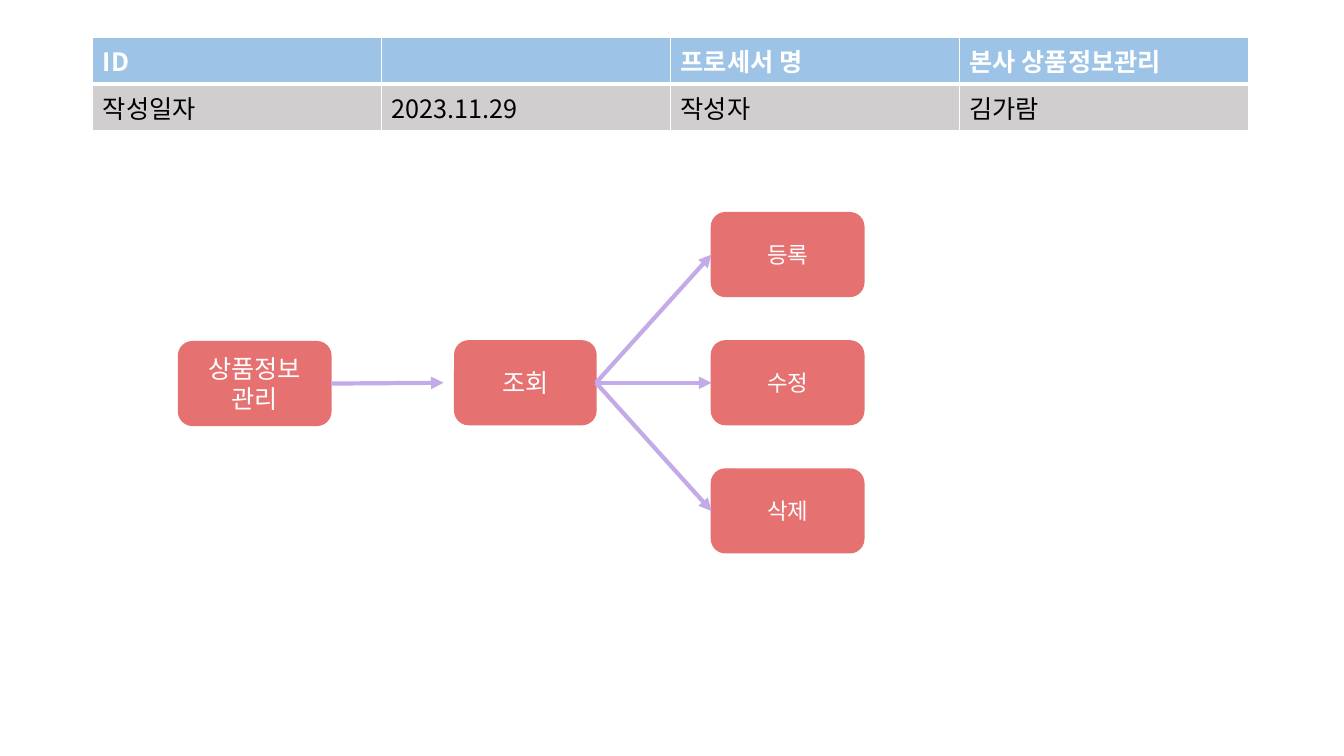
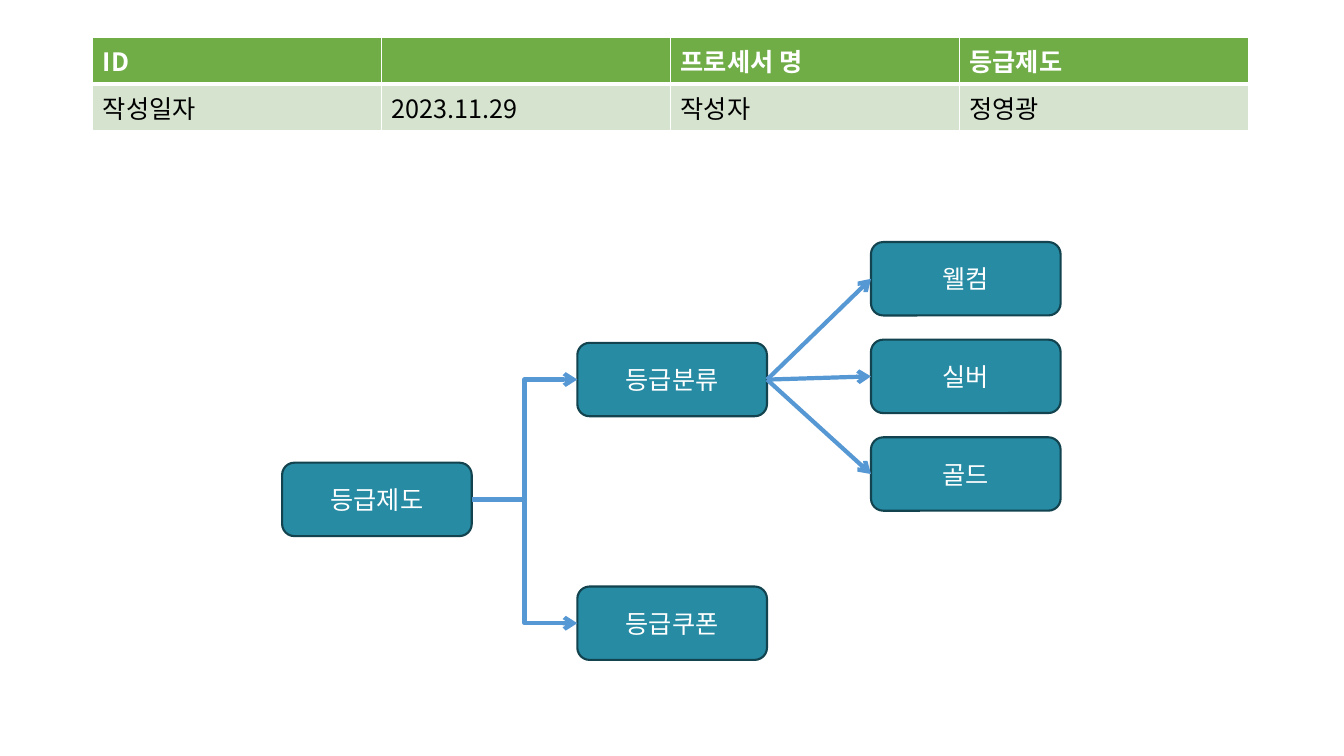
from dataclasses import dataclass

from lxml.etree import SubElement
from pptx import Presentation
from pptx.dml.color import RGBColor
from pptx.enum.shapes import MSO_CONNECTOR, MSO_SHAPE
from pptx.enum.text import MSO_ANCHOR, PP_ALIGN
from pptx.oxml.ns import qn
from pptx.util import Cm, Pt


@dataclass(frozen=True)
class Theme:
    header: str
    body: str
    box: str
    outline: str
    outline_width: float
    arrow: str
    arrowhead: str
    white: str = "FFFFFF"
    black: str = "000000"
    font: str = "Noto Sans CJK KR"
    text_size: int = 18
    small_size: int = 16
    arrow_width: int = 3
    border_width: int = 1
    header_rule: int = 3


PRODUCT = Theme("9DC3E6", "D0CECE", "E57171", "E57171", 1, "C3AAE8", "triangle")
GRADE = Theme("70AD47", "D5E3CF", "268BA3", "12434E", 1.5, "5698D3", "arrow")

STRAIGHT, ELBOW = MSO_CONNECTOR.STRAIGHT, MSO_CONNECTOR.ELBOW
LEFT_SITE, RIGHT_SITE = 1, 3

product_boxes = [
    ("상품정보\n관리", 4.5, 8.61, 3.84, 2.11, PRODUCT.text_size),
    ("조회", 11.46, 8.59, 3.56, 2.11, PRODUCT.text_size),
]
for index, action in enumerate(["등록", "수정", "삭제"]):
    product_boxes.append((action, 17.93, 5.36 + 3.23 * index, 3.84, 2.11, PRODUCT.small_size))

grade_boxes = [
    ("등급제도", 7.11, 11.66, 4.78, 1.85, GRADE.text_size),
    ("등급분류", 14.55, 8.64, 4.78, 1.85, GRADE.text_size),
    ("등급쿠폰", 14.55, 14.78, 4.78, 1.85, GRADE.text_size),
]
for index, grade in enumerate(["웰컴", "실버", "골드"]):
    grade_boxes.append((grade, 21.95, 6.1 + 2.46 * index, 4.78, 1.85, GRADE.text_size))

processes = [
    (PRODUCT, "본사 상품정보관리", "김가람", product_boxes, [
        ("상품정보\n관리", "조회", STRAIGHT, 0.28),
        ("조회", "등록", STRAIGHT, 0),
        ("조회", "수정", STRAIGHT, 0),
        ("조회", "삭제", STRAIGHT, 0),
    ]),
    (GRADE, "등급제도", "정영광", grade_boxes, [
        ("등급제도", "등급분류", ELBOW, 0),
        ("등급제도", "등급쿠폰", ELBOW, 0),
        ("등급분류", "웰컴", STRAIGHT, 0),
        ("등급분류", "실버", STRAIGHT, 0),
        ("등급분류", "골드", STRAIGHT, 0),
    ]),
]


def add_text(paragraph, text, theme, size, color, bold=False):
    run = paragraph.add_run()
    run.text = text
    run.font.name = theme.font
    run.font.size = Pt(size)
    run.font.bold = bold
    run.font.color.rgb = RGBColor.from_string(color)
    SubElement(run.font._element, qn("a:ea"), typeface=theme.font)


def add_border(cell, side, width, color):
    border = SubElement(cell._tc.get_or_add_tcPr(), qn(f"a:ln{side}"), w=str(Pt(width)))
    SubElement(SubElement(border, qn("a:solidFill")), qn("a:srgbClr"), val=color)


presentation = Presentation()
presentation.slide_width = Cm(33.87)
presentation.slide_height = Cm(19.05)

for theme, process_name, author, boxes, arrows in processes:
    slide = presentation.slides.add_slide(presentation.slide_layouts[6])

    summary_rows = [
        (["ID", "", "프로세서 명", process_name], 1.09, theme.header, theme.white, True),
        (["작성일자", "2023.11.29", "작성자", author], 1.04, theme.body, theme.black, False),
    ]
    summary = slide.shapes.add_table(2, 4, Cm(2.34), Cm(0.95), Cm(29.12), Cm(2.13)).table
    for column in summary.columns:
        column.width = Cm(7.28)
    for row, (entries, height, fill, color, is_header) in zip(summary.rows, summary_rows):
        row.height = Cm(height)
        top = theme.border_width if is_header else theme.header_rule
        bottom = theme.header_rule if is_header else theme.border_width
        sides = {"L": theme.border_width, "R": theme.border_width, "T": top, "B": bottom}
        for cell, entry in zip(row.cells, entries):
            for side, width in sides.items():
                add_border(cell, side, width, theme.white)
            cell.fill.solid()
            cell.fill.fore_color.rgb = RGBColor.from_string(fill)
            if entry:
                add_text(cell.text_frame.paragraphs[0], entry, theme,
                         theme.text_size, color, is_header)

    steps = {}
    for label, left, top, width, height, size in boxes:
        step = slide.shapes.add_shape(MSO_SHAPE.ROUNDED_RECTANGLE,
                                      Cm(left), Cm(top), Cm(width), Cm(height))
        step.shadow.inherit = False
        step.fill.solid()
        step.fill.fore_color.rgb = RGBColor.from_string(theme.box)
        step.line.color.rgb = RGBColor.from_string(theme.outline)
        step.line.width = Pt(theme.outline_width)
        frame = step.text_frame
        frame.word_wrap = True
        frame.vertical_anchor = MSO_ANCHOR.MIDDLE
        for number, line in enumerate(label.split("\n")):
            paragraph = frame.add_paragraph() if number else frame.paragraphs[0]
            paragraph.alignment = PP_ALIGN.CENTER
            add_text(paragraph, line, theme, size, theme.white)
        steps[label] = step

    for source, target, route, gap in arrows:
        origin, goal = steps[source], steps[target]
        arrow = slide.shapes.add_connector(
            route,
            origin.left + origin.width, origin.top + origin.height // 2,
            goal.left - Cm(gap), goal.top + goal.height // 2)
        arrow.begin_connect(origin, RIGHT_SITE)
        if not gap:
            arrow.end_connect(goal, LEFT_SITE)
        arrow.line.color.rgb = RGBColor.from_string(theme.arrow)
        arrow.line.width = Pt(theme.arrow_width)
        SubElement(arrow.line._get_or_add_ln(), qn("a:tailEnd"), type=theme.arrowhead)
        SubElement(arrow._element.spPr, qn("a:effectLst"))

presentation.save("out.pptx")
